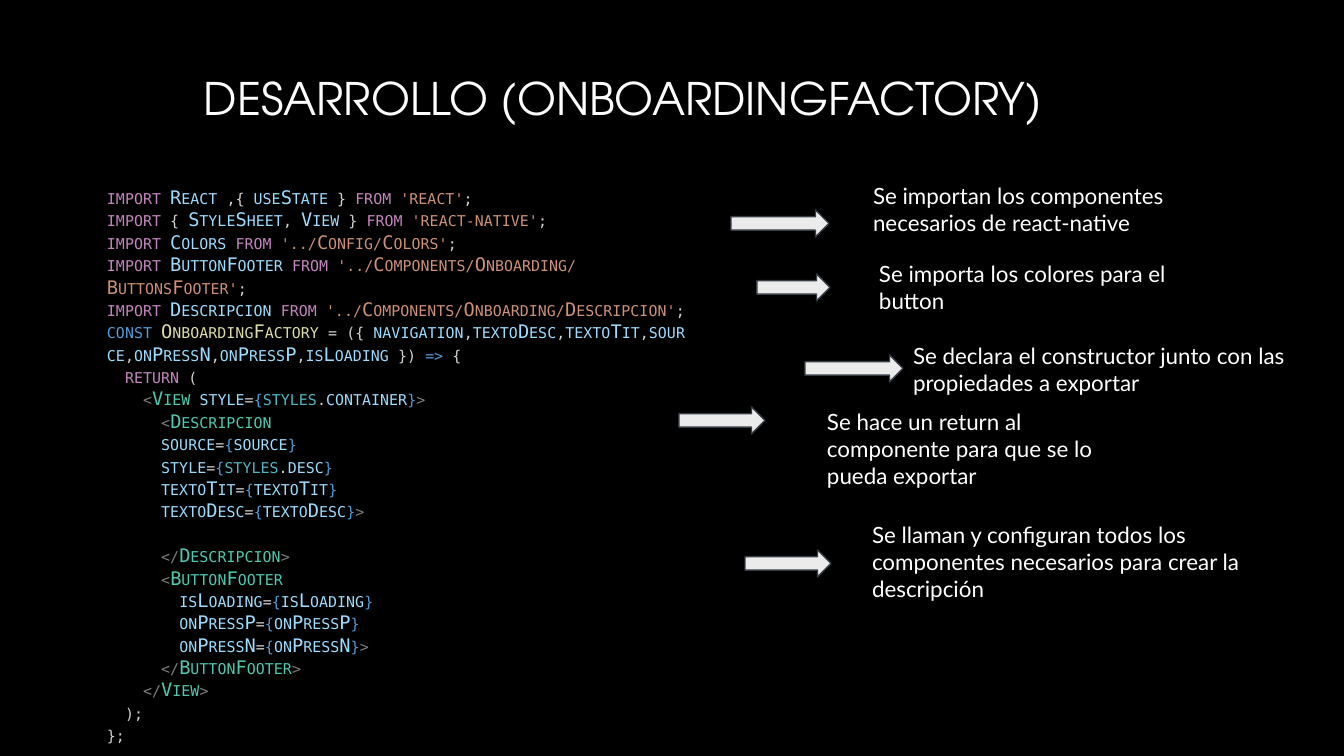
"""Build the OnboardingFactory slide: coloured code beside arrowed notes."""
import dataclasses

import pptx
import pptx.dml.color
import pptx.enum.shapes
import pptx.enum.text
import pptx.util


@dataclasses.dataclass(frozen=True)
class Theme:
    """Colours, fonts and type sizes of the slide."""
    back: str = "000000"
    ink: str = "FFFFFF"
    fade: str = "A6A6A6"
    arrow: str = "EBEBEB"
    edge: str = "363D46"
    head: tuple = ("TeX Gyre Adventor", 24)
    mono: tuple = ("DejaVu Sans Mono", 10)
    note: tuple = ("Lato", 12)
    pitch: int = 12
    code: dict = dataclasses.field(default_factory=lambda: {
        "key": "C586C0", "var": "9CDCFE", "str": "CE9178", "txt": "D4D4D4",
        "op": "569CD6", "fn": "DCDCAA", "tag": "4EC9B0", "obj": "51B6C4",
        "ang": "808080"})


THEME = Theme()
SCALE = 914400 / 134.4
HARD = chr(160)

TITLE = "DESARROLLO (ONBOARDINGFACTORY)"

ARGS = "|txt:,|".join("var:" + name for name in (
    "navigation", "textoDesc", "textoTit", "source",
    "onPressN", "onPressP", "isLoading"))


def load(name, file):
    """Return the marked import line for one name."""
    return f"key:import |var:{name} |key:from |str:'{file}'|txt:;"


def prop(pad, name, value=None):
    """Return the marked line that passes one property."""
    value = value or "var:" + name
    return f"txt:{' ' * pad}|var:{name}|txt:=|op:{{|{value}|op:}}"


def close(pad, name):
    """Return the marked line that closes one tag."""
    return f"txt:{' ' * pad}|ang:</|tag:{name}|ang:>"


CODE = [
    "key:import |var:React|txt: ,{ |var:useState|txt: } |key:from |str:'react'|txt:;",
    "key:import|txt: { |var:StyleSheet|txt:, |var:View|txt: } |key:from "
    "|str:'react-native'|txt:;",
    load("Colors", "../Config/Colors"),
    load("ButtonFooter", "../Components/Onboarding/ButtonsFooter"),
    load("Descripcion", "../Components/Onboarding/Descripcion"),
    f"op:const |fn:OnboardingFactory|txt: = ({{ |{ARGS}|txt: }}) |op:=>|txt: {{",
    "txt:  |key:return|txt: (",
    "txt:    |ang:<|tag:View |var:style|txt:=|op:{|obj:styles|txt:.|var:container"
    "|op:}|ang:>",
    "txt:      |ang:<|tag:Descripcion ",
    prop(6, "source"),
    prop(6, "style", "obj:styles|txt:.|var:desc"),
    prop(6, "textoTit"),
    prop(6, "textoDesc") + "|ang:>",
    "",
    close(6, "Descripcion"),
    "txt:      |ang:<|tag:ButtonFooter",
    prop(8, "isLoading"),
    prop(8, "onPressP"),
    prop(8, "onPressN") + "|ang:>",
    close(6, "ButtonFooter"),
    close(4, "View"),
    "txt:  );",
    "txt:};",
]

NOTES = [
    ((731, 210, 98, 27), (860, 169, 348, 87),
     "Se importan los componentes necesarios de react-native"),
    ((757, 274, 73, 27), (866, 247, 348, 87),
     "Se importa los colores para el button"),
    ((805, 355, 98, 27), (900, 329, 413, 87),
     "Se declara el constructor junto con las propiedades a exportar"),
    ((679, 407, 86, 27), (814, 395, 298, 112),
     "Se hace un return al componente para que se lo pueda exportar"),
    ((745, 550, 86, 27), (859, 508, 413, 89),
     "Se llaman y configuran todos los componentes necesarios para crear la "
     "descripción"),
]


def px(*sizes):
    """Turn whole pixels into EMU lengths."""
    return [pptx.util.Emu(round(size * SCALE)) for size in sizes]


def rgb(value):
    """Return a colour from its hex text."""
    return pptx.dml.color.RGBColor.from_string(value)


def style(item, values):
    """Set each attribute of an item from a dict."""
    for name, value in values.items():
        setattr(item, name, value)


def paint(fill, color):
    """Give a fill one solid colour."""
    fill.solid()
    fill.fore_color.rgb = rgb(color)


def frame(slide, box):
    """Add a wrapping text box and return its frame."""
    text = slide.shapes.add_textbox(*px(*box)).text_frame
    pad = px(13)[0]
    style(text, {
        "word_wrap": True,
        "auto_size": pptx.enum.text.MSO_AUTO_SIZE.NONE,
        "vertical_anchor": pptx.enum.text.MSO_ANCHOR.TOP,
        "margin_left": pad, "margin_right": pad,
        "margin_top": pad, "margin_bottom": pad})
    return text


def write(para, text, face):
    """Add a run in one face and return it."""
    run = para.add_run()
    run.text = text
    style(run.font, {"name": face[0], "size": pptx.util.Pt(face[1])})
    return run


def title(slide, box, text):
    """Add the heading with its gradient ink."""
    run = write(frame(slide, box).paragraphs[0], text, THEME.head)
    fill = run.font.fill
    fill.gradient()
    fill.gradient_angle = 267
    for stop, color in zip(fill.gradient_stops, (THEME.ink, THEME.fade)):
        stop.color.rgb = rgb(color)


def code(slide, box, lines):
    """Add the listing, one paragraph to a line."""
    text = frame(slide, box)
    para, gap = text.paragraphs[0], 0
    for line in lines:
        if not line:
            gap = THEME.pitch
            continue
        if para.runs:
            para = text.add_paragraph()
        style(para, {"line_spacing": pptx.util.Pt(THEME.pitch),
                     "space_before": pptx.util.Pt(gap)})
        para._p.get_or_add_pPr().set("marL", str(px(21)[0]))
        gap = 0
        for part in line.split("|"):
            kind, _, word = part.partition(":")
            run = write(para, word.replace(" ", HARD), THEME.mono)
            run.font.color.rgb = rgb(THEME.code[kind])
            run._r.get_or_add_rPr().set("cap", "small")


def arrow(slide, box):
    """Add one block arrow."""
    kind = pptx.enum.shapes.MSO_SHAPE.RIGHT_ARROW
    shape = slide.shapes.add_shape(kind, *px(*box))
    shape.shadow.inherit = False
    paint(shape.fill, THEME.arrow)
    paint(shape.line.fill, THEME.edge)
    shape.line.width = pptx.util.Pt(0.75)


def note(slide, box, text):
    """Add one remark on the code."""
    run = write(frame(slide, box).paragraphs[0], text, THEME.note)
    run.font.color.rgb = rgb(THEME.ink)


def main():
    """Build and save the slide."""
    deck = pptx.Presentation()
    deck.slide_width, deck.slide_height = px(1344, 756)
    slide = deck.slides.add_slide(deck.slide_layouts[6])
    paint(slide.background.fill, THEME.back)
    title(slide, (191, 58, 1035, 134), TITLE)
    code(slide, (73, 173, 628, 570), CODE)
    for tip, box, text in NOTES:
        arrow(slide, tip)
        note(slide, box, text)
    deck.save("out.pptx")


if __name__ == "__main__":
    main()
